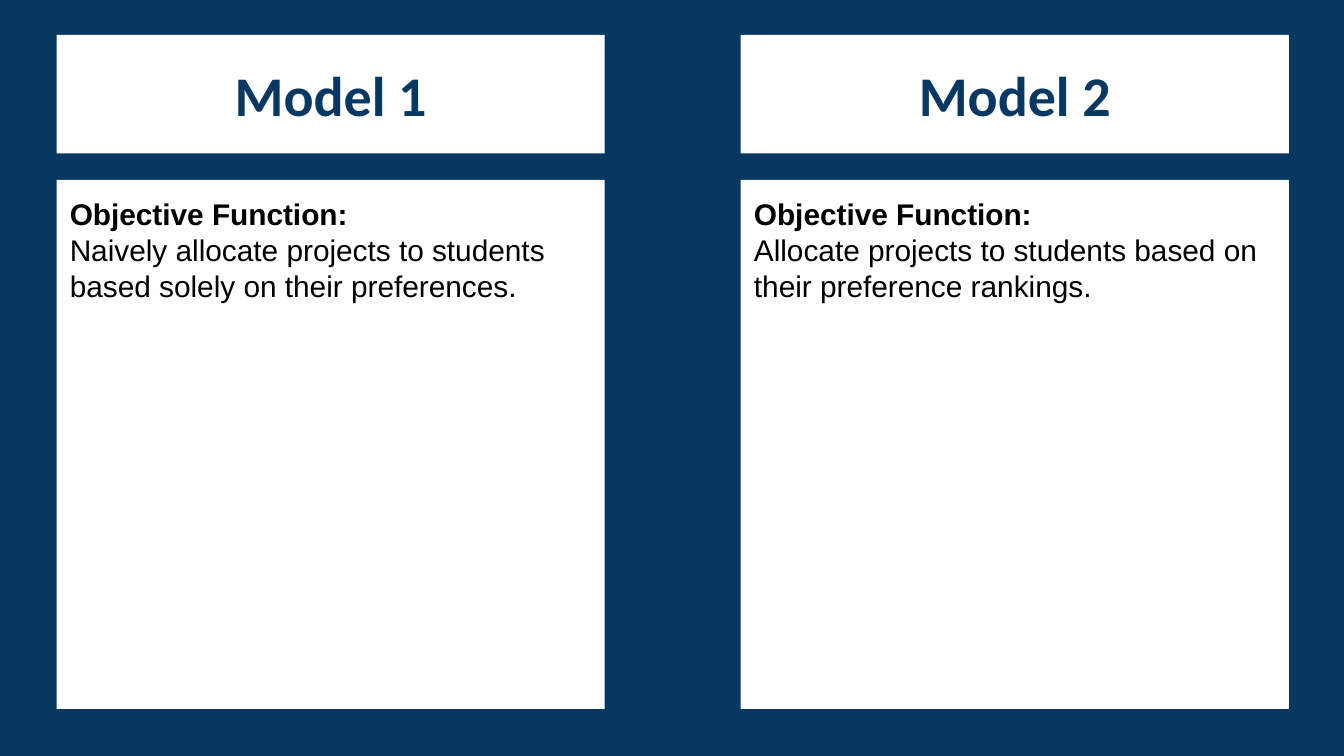
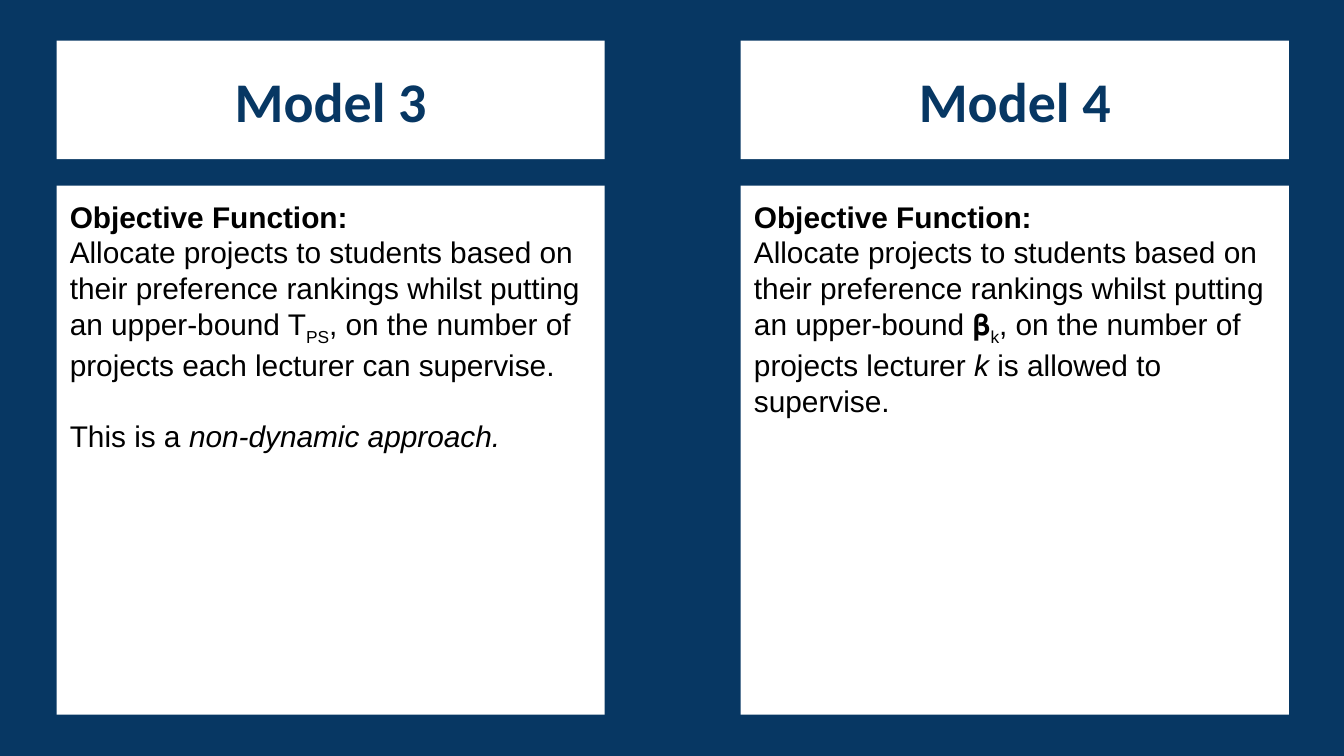
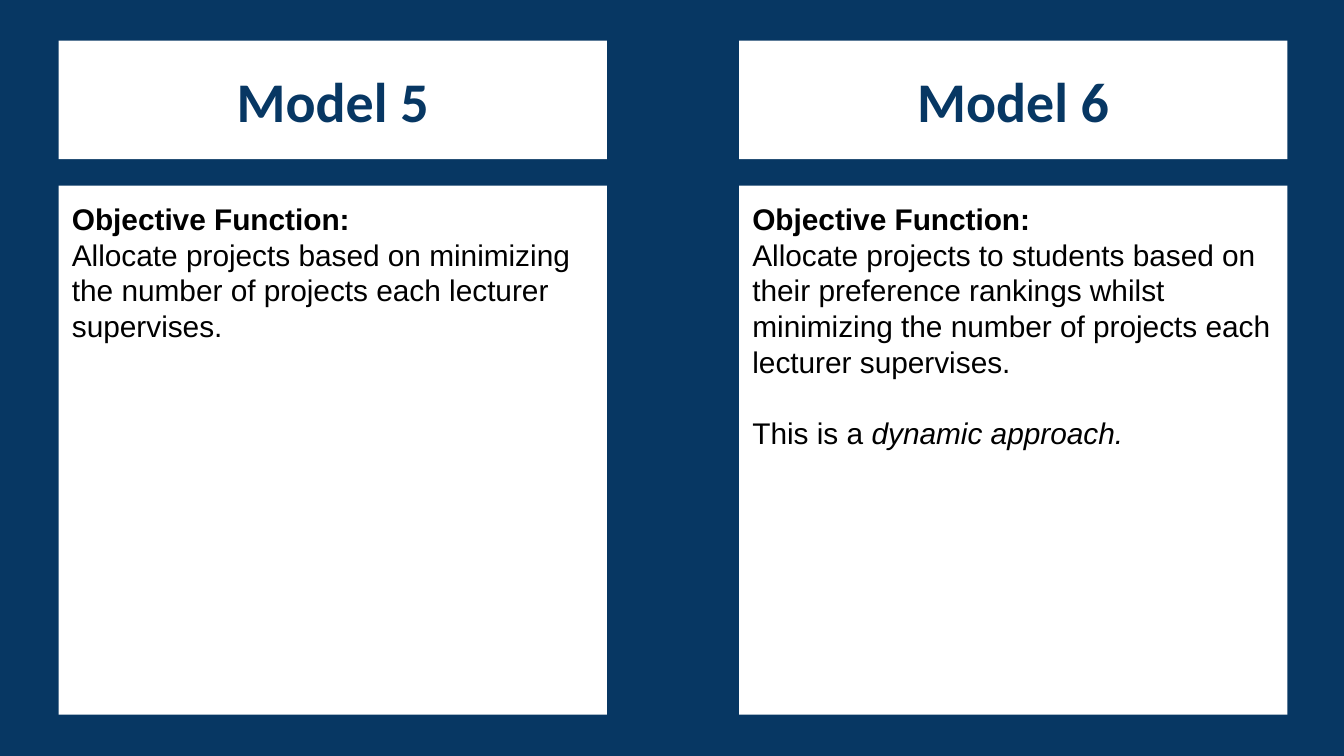
"""Build three slides that compare six project allocation models."""
from dataclasses import dataclass

from pptx import Presentation
from pptx.dml.color import RGBColor
from pptx.enum import shapes, text
from pptx.util import Cm, Pt

NAVY = RGBColor(0x07, 0x37, 0x63)
WHITE = RGBColor(0xFF, 0xFF, 0xFF)
BLACK = RGBColor(0x00, 0x00, 0x00)

CARD_WIDTH = Cm(10.36)
HEADING_HEIGHT = Cm(2.24)
BODY_HEIGHT = Cm(10)
GAP = Cm(0.5)
INSET = Cm(0.25)
BLANK_LINE = Pt(19)


@dataclass(frozen=True)
class Run:
    """A piece of text with its own emphasis."""
    words: str
    italic: bool = False
    subscript: bool = False


@dataclass(frozen=True)
class Model:
    """A model's number, its objective and an optional remark."""
    number: int
    objective: tuple[Run, ...]
    remark: tuple[Run, ...] = ()


@dataclass(frozen=True)
class Comparison:
    """Two models side by side and where their cards stand, in cm."""
    lefts: tuple[float, float]
    top: float
    body_inset: float
    models: tuple[Model, Model]


RANKED = "Allocate projects to students based on their preference rankings"
BOUNDED = RANKED + " whilst putting an upper-bound "

COMPARISONS = (
    Comparison((1.07, 14), 0.66, 0.3, (
        Model(1, (Run("Naively allocate projects to students based solely "
                      "on their preferences."),)),
        Model(2, (Run(RANKED + "."),)),
    )),
    Comparison((1.07, 14), 0.77, 0.24, (
        Model(3, (Run(BOUNDED + "T"), Run("PS", subscript=True),
                  Run(", on the number of projects each lecturer can supervise.")),
              (Run("This is a "), Run("non-dynamic approach.", italic=True))),
        Model(4, (Run(BOUNDED + "𝛃"), Run("k", subscript=True),
                  Run(", on the number of projects lecturer "),
                  Run("k", italic=True), Run(" is allowed to supervise."))),
    )),
    Comparison((1.11, 13.97), 0.77, 0.28, (
        Model(5, (Run("Allocate projects based on minimizing the number of "
                      "projects each lecturer supervises."),)),
        Model(6, (Run(RANKED + " whilst minimizing the number of projects "
                      "each lecturer supervises."),),
              (Run("This is a "), Run("dynamic approach.", italic=True))),
    )),
)


def add_panel(slide, left, top, height, inset_top=INSET,
              anchor=text.MSO_ANCHOR.TOP):
    """Draw a white rectangle and return its text frame."""
    panel = slide.shapes.add_shape(
        shapes.MSO_SHAPE.RECTANGLE, left, top, CARD_WIDTH, height)
    panel.shadow.inherit = False
    panel.fill.solid()
    panel.fill.fore_color.rgb = WHITE
    panel.line.fill.background()
    frame = panel.text_frame
    frame.word_wrap = True
    frame.vertical_anchor = anchor
    frame.margin_left = frame.margin_right = frame.margin_bottom = INSET
    frame.margin_top = inset_top
    return frame


def write(paragraph, runs: tuple[Run, ...], *, size: int = 16,
          font: str = "Arial", color: RGBColor = BLACK, bold: bool = False,
          align=text.PP_ALIGN.LEFT, before=Pt(0)) -> None:
    """Fill a paragraph with runs in one format."""
    paragraph.alignment = align
    paragraph.space_before = before
    for piece in runs:
        run = paragraph.add_run()
        run.text = piece.words
        run.font.size = Pt(size)
        run.font.name = font
        run.font.color.rgb = color
        run.font.bold = bold
        run.font.italic = piece.italic
        if piece.subscript:
            run.font._element.set("baseline", "-25000")


def add_model(slide, model: Model, left, top, body_inset) -> None:
    """Draw a model's heading panel and the body panel below it."""
    heading = add_panel(slide, left, top, HEADING_HEIGHT,
                        anchor=text.MSO_ANCHOR.MIDDLE)
    write(heading.paragraphs[0], (Run(f"Model {model.number}"),), size=30,
          font="Calibri", color=NAVY, bold=True, align=text.PP_ALIGN.CENTER)
    body = add_panel(slide, left, top + HEADING_HEIGHT + GAP, BODY_HEIGHT,
                     inset_top=body_inset)
    write(body.paragraphs[0], (Run("Objective Function:"),), bold=True)
    write(body.add_paragraph(), model.objective)
    if model.remark:
        write(body.add_paragraph(), model.remark, before=BLANK_LINE)


def add_comparison(deck, comparison: Comparison) -> None:
    """Add a navy slide with two models side by side."""
    slide = deck.slides.add_slide(deck.slide_layouts[6])
    slide.background.fill.solid()
    slide.background.fill.fore_color.rgb = NAVY
    for left, model in zip(comparison.lefts, comparison.models):
        add_model(slide, model, Cm(left), Cm(comparison.top),
                  Cm(comparison.body_inset))


def main() -> None:
    """Build and save the deck."""
    deck = Presentation()
    deck.slide_width, deck.slide_height = Cm(25.4), Cm(14.29)
    for comparison in COMPARISONS:
        add_comparison(deck, comparison)
    deck.save("out.pptx")


if __name__ == "__main__":
    main()
